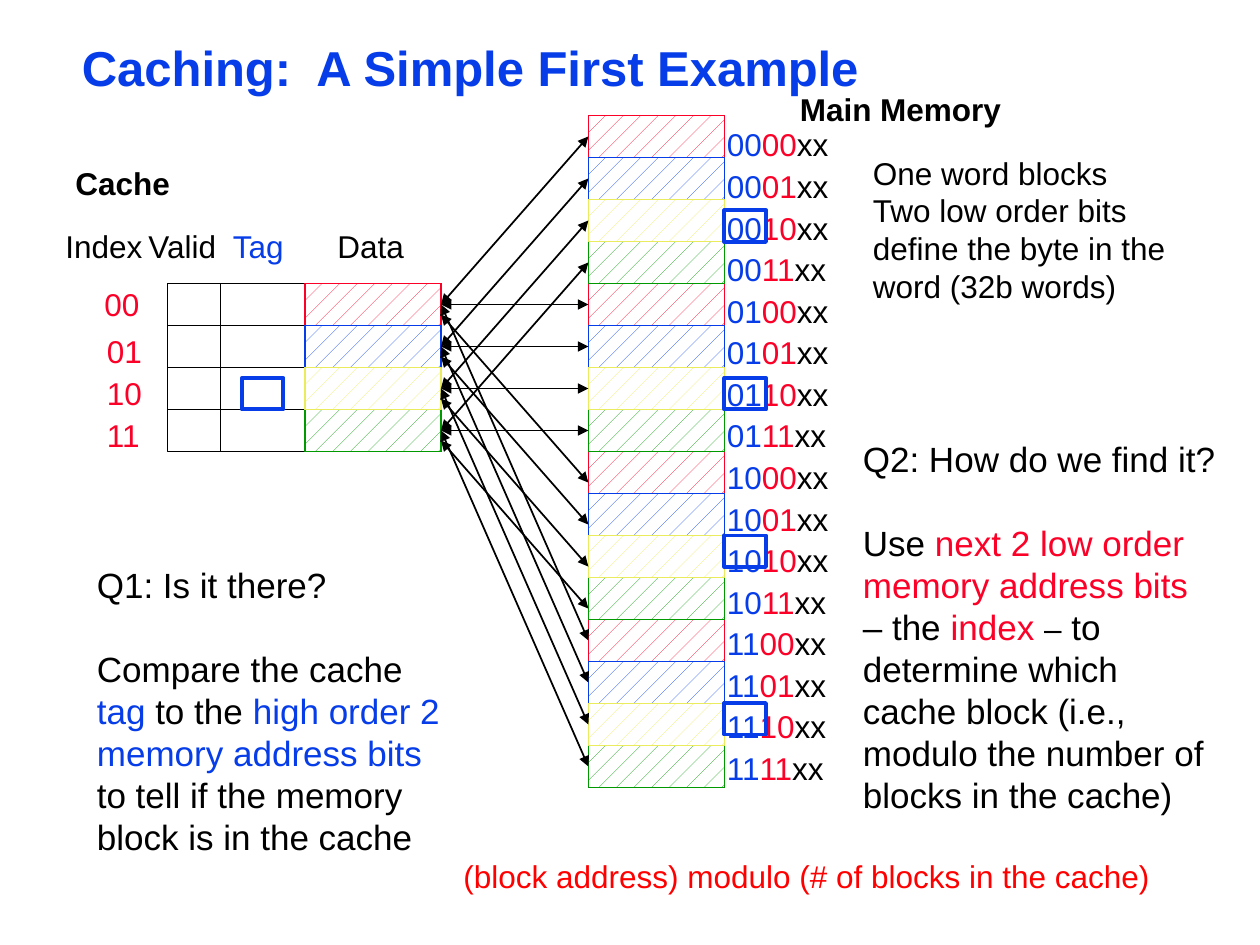
from lxml import etree
from pptx import Presentation
from pptx.dml.color import RGBColor
from pptx.enum import dml, shapes, text
from pptx.oxml.ns import qn
from pptx.util import Inches, Pt

COLORS = {"black": "000000", "white": "FFFFFF", "blue": "063DE8", "red": "FC0128",
          "green": "009900", "yellow": "EAEC5E", "formula": "FF0000"}
BLOCK_COLORS = ["red", "blue", "yellow", "green"]
PAINT_ORDER = ["red", "green", "blue", "yellow"]
ROW = 1 / 3
DATA_WIDTH = 1.08
CACHE_ROWS, MEMORY_ROWS = 4, 16
CACHE_LEFT, CACHE_TOP = 1.33, 2.25
MEMORY_LEFT, MEMORY_TOP = 4.67, CACHE_TOP - 4 * ROW
DATA_LEFT = 2.42


def color(name):
    return RGBColor.from_string(COLORS[name])


def add_text(page, box, paragraphs, size=18, bold=False, wrap=True, spacing=None, gap=0):
    """Each paragraph is a list of (text, color[, size]) runs; gap is in points."""
    holder = page.shapes.add_textbox(*map(Inches, box))
    frame = holder.text_frame
    frame.word_wrap = wrap
    for number, runs in enumerate(paragraphs):
        para = frame.add_paragraph() if number else frame.paragraphs[0]
        if number and gap:
            para.space_before = Pt(gap)
        if spacing:
            para.line_spacing = spacing
        for words, tint, *own_size in runs:
            span = para.add_run()
            span.text = words
            span.font.name = "Arial"
            span.font.size = Pt(own_size[0] if own_size else size)
            span.font.bold = bold
            span.font.color.rgb = color(tint)
    return frame


def add_label(page, left, top, width, words, tint="black", bold=False):
    add_text(page, (left, top, width, 0.4), [[(words, tint)]], bold=bold, wrap=False)


def add_line(page, x1, y1, x2, y2, arrows=False):
    line = page.shapes.add_connector(shapes.MSO_CONNECTOR.STRAIGHT,
                                     *map(Inches, (x1, y1, x2, y2)))
    line.line.color.rgb = color("black")
    line.line.width = Pt(1)
    if arrows:
        outline = line.line._get_or_add_ln()
        for end in ("a:headEnd", "a:tailEnd"):
            etree.SubElement(outline, qn(end), type="triangle")
    etree.SubElement(line._element.spPr, qn("a:effectLst"))


def add_box(page, box, tint, width=1, hatched=False):
    shape = page.shapes.add_shape(shapes.MSO_SHAPE.RECTANGLE, *map(Inches, box))
    shape.shadow.inherit = False
    shape.line.color.rgb = color(tint)
    shape.line.width = Pt(width)
    if hatched:
        shape.fill.patterned()
        shape.fill.pattern = dml.MSO_PATTERN.PERCENT_5
        shape.fill.fore_color.rgb = color(tint)
        shape.fill.back_color.rgb = color("white")
    else:
        shape.fill.background()


def add_blocks(page, left, top, rows):
    """Stack hatched blocks whose colors repeat with the cache index."""
    for tint in PAINT_ORDER:
        for row in range(BLOCK_COLORS.index(tint), rows, len(BLOCK_COLORS)):
            add_box(page, (left, top + row * ROW, DATA_WIDTH, ROW), tint, hatched=True)


def add_cache(page, left, top):
    column_left = left
    for width in (0.42, 0.67, DATA_WIDTH):
        add_box(page, (column_left, top, width, CACHE_ROWS * ROW), "black")
        for row in range(1, CACHE_ROWS):
            y = top + row * ROW
            add_line(page, column_left, y, column_left + width, y)
        column_left += width
    add_blocks(page, DATA_LEFT, top, CACHE_ROWS)

    add_label(page, left - 0.83, top - 1, 0.95, "Cache", bold=True)
    for offset, width, words, tint in ((-0.91, 0.81, "Index", "black"),
                                       (-0.25, 0.76, "Valid", "black"),
                                       (0.42, 0.63, "Tag", "blue"),
                                       (1.25, 0.73, "Data", "black")):
        add_label(page, left + offset, top - 0.5, width, words, tint)
    for row, (dx, dy) in enumerate(((-0.6, -0.04), (-0.58, 0), (-0.58, 0), (-0.58, 0))):
        add_label(page, left + dx, top + row * ROW + dy, 0.48, f"{row:02b}", "red")


def add_memory(page, left, top):
    right, bottom = left + DATA_WIDTH, top + MEMORY_ROWS * ROW
    for row in range(MEMORY_ROWS + 1):
        add_line(page, left, top + row * ROW, right, top + row * ROW)
    for x in (left, right):
        add_line(page, x, top, x, bottom)
    add_blocks(page, left, top, MEMORY_ROWS)
    add_label(page, left + 1.58, top - 0.25, 1.8, "Main Memory", bold=True)


def add_addresses(page, left, top):
    addresses = [[(f"{row // 4:02b}", "blue"), (f"{row % 4:02b}", "red"), ("xx", "black")]
                 for row in range(MEMORY_ROWS)]
    add_text(page, (left, top, 1.08, 5.38), addresses, spacing=1.1)


def add_mapping(page, cache_right, memory_left):
    """Join every memory block to the cache block with the same index."""
    for row in range(MEMORY_ROWS):
        shift = 0.08 if row // CACHE_ROWS == 2 else 0
        memory_y = MEMORY_TOP + (row + 0.5) * ROW + shift
        cache_y = CACHE_TOP + (row % CACHE_ROWS + 0.5) * ROW + shift
        add_line(page, memory_left, memory_y, cache_right, cache_y, arrows=True)


def add_tag_marks(page):
    marks = [(1.92, 3)] + [(5.75, y) for y in (1.67, 3, 4.25, 5.58)]
    for left, top in marks:
        add_box(page, (left, top, 0.33, 0.25), "blue", width=2.25)


def add_notes(page):
    add_text(page, (6.83, 1.17, 2.75, 1.31), [
        [("One word blocks", "black")],
        [("Two low order bits define the byte in the word (32b words)", "black")]])
    add_text(page, (6.75, 3.42, 3, 3.1), [
        [("Q2: How do we find it?", "black")],
        [("Use", "black"), (" next 2 low order memory address bits ", "red"),
         ("– the", "black"), (" index ", "red"), ("–", "black", 18),
         (" to determine which cache block (i.e., modulo the number of blocks"
          " in the cache)", "black")]], size=20, gap=24)
    add_text(page, (0.67, 4.42, 3.08, 2.43), [
        [("Q1: Is it there?", "black")],
        [("Compare the cache ", "black"), ("tag", "blue"), (" to the ", "black"),
         ("high order 2 memory address bits", "blue"),
         (" to tell if the memory block is in the cache", "black")]], size=20, gap=24)
    add_text(page, (3.58, 6.75, 6, 0.4),
             [[("(block address) modulo (# of blocks in the cache)", "formula")]])


def add_title(page, box):
    frame = add_text(page, box, [[("Caching:  A Simple First Example", "blue")]],
                     size=28, bold=True, spacing=0.87)
    frame.margin_left = frame.margin_right = Inches(0.07)
    frame.margin_top = frame.margin_bottom = Inches(0.03)
    frame.vertical_anchor = text.MSO_ANCHOR.TOP


def main():
    deck = Presentation()
    deck.slide_width, deck.slide_height = Inches(10), Inches(7.5)
    page = deck.slides.add_slide(deck.slide_layouts[6])
    add_title(page, (0.58, 0.33, 8.92, 0.46))
    add_memory(page, MEMORY_LEFT, MEMORY_TOP)
    add_cache(page, CACHE_LEFT, CACHE_TOP)
    add_mapping(page, DATA_LEFT + DATA_WIDTH, MEMORY_LEFT)
    add_addresses(page, MEMORY_LEFT + 1, MEMORY_TOP)
    add_notes(page)
    add_tag_marks(page)
    deck.save("out.pptx")


if __name__ == "__main__":
    main()
